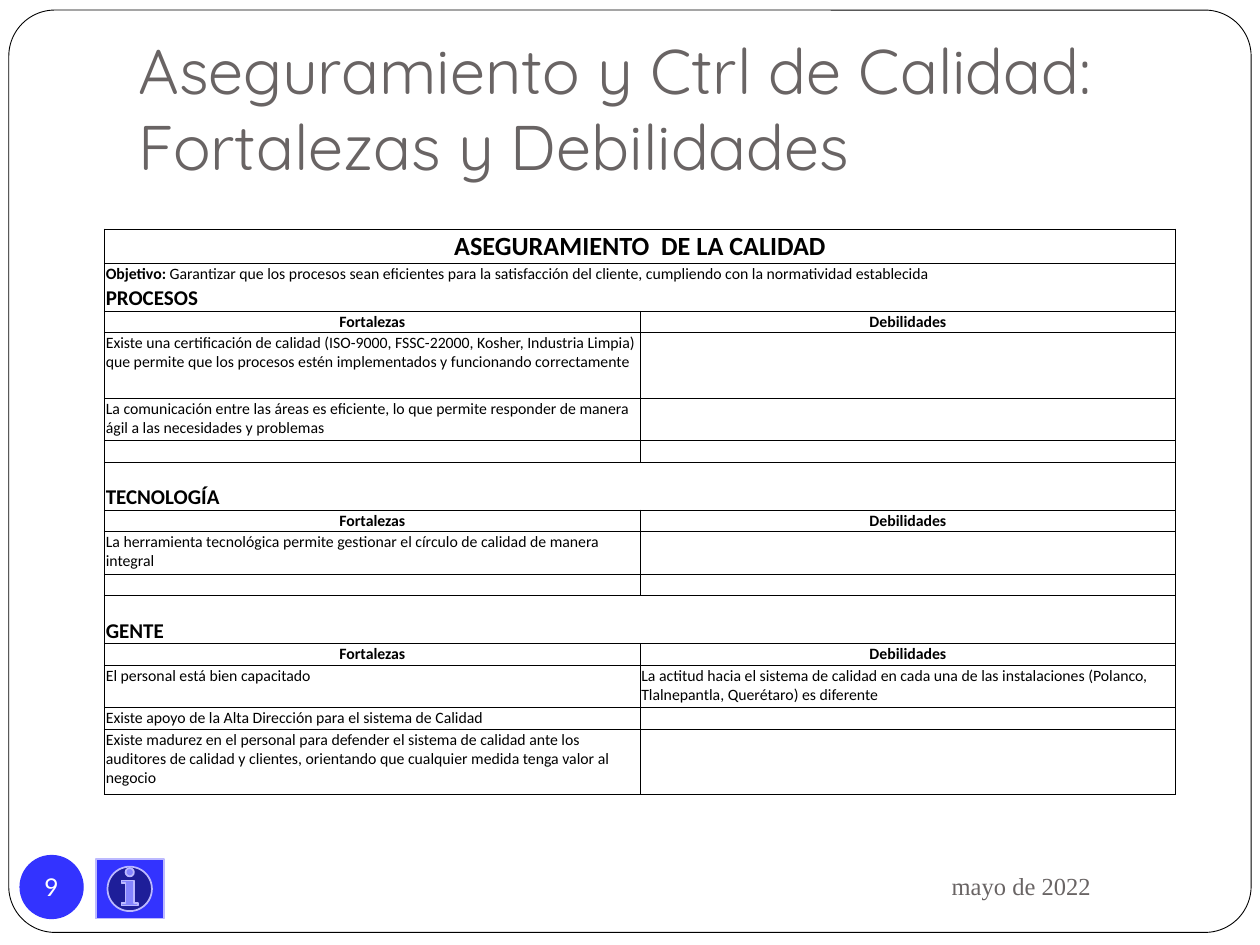
import pptx
import pptx.util
import pptx.dml.color
import pptx.enum.shapes
import pptx.enum.text
import pptx.oxml.ns
import lxml.etree

Inches, Pt = pptx.util.Inches, pptx.util.Pt
SHAPE = pptx.enum.shapes.MSO_SHAPE
ALIGN = pptx.enum.text.PP_ALIGN
ANCHOR = pptx.enum.text.MSO_ANCHOR
qn = pptx.oxml.ns.qn

WIDTH, HEIGHT = 10, 7.5
COLORS = {"ink": "000000", "paper": "FFFFFF", "heading": "696464",
          "accent": "3333FF", "accent_edge": "BCB9FF"}
OUTER, INNER = 1, 0.5  # border widths in points
ROW, HEADING_ROW, TITLE_ROW = 0.17, 0.21, 0.27

OBJECTIVE = [("Objetivo:", True),
             (" Garantizar que los procesos sean eficientes para la satisfacción del cliente, "
              "cumpliendo con la normatividad establecida", False)]

# Section -> (strength, weakness, row height in text lines)
SECTIONS = {
    "PROCESOS": [
        ("Existe una certificación de calidad (ISO-9000, FSSC-22000, Kosher, Industria Limpia) "
         "que permite que los procesos estén implementados y funcionando correctamente", "", 3),
        ("La comunicación entre las áreas es eficiente, lo que permite responder de manera "
         "ágil a las necesidades y problemas", "", 2),
        ("", "", 1)],
    "TECNOLOGÍA": [
        ("La herramienta tecnológica permite gestionar el círculo de calidad de manera integral",
         "", 2),
        ("", "", 1)],
    "GENTE": [
        ("El personal está bien capacitado",
         "La actitud hacia el sistema de calidad en cada una de las instalaciones "
         "(Polanco, Tlalnepantla, Querétaro) es diferente", 2),
        ("Existe apoyo de la Alta Dirección para el sistema de Calidad", "", 1),
        ("Existe madurez en el personal para defender el sistema de calidad ante los auditores "
         "de calidad y clientes, orientando que cualquier medida tenga valor al negocio", "", 3)],
}


def rgb(name):
    return pptx.dml.color.RGBColor.from_string(COLORS[name])


def write(frame, text, font="Calibri", size=9, color="ink", bold=False,
          align=ALIGN.LEFT, anchor=ANCHOR.TOP, wrap=True, insets=None):
    """Fill a frame with a string or with (string, bold) runs."""
    frame.word_wrap = wrap
    frame.vertical_anchor = anchor
    if insets:
        (frame.margin_left, frame.margin_top,
         frame.margin_right, frame.margin_bottom) = map(Inches, insets)
    paragraph = frame.paragraphs[0]
    paragraph.alignment = align
    for words, strong in ([(text, bold)] if isinstance(text, str) else text):
        for number, line in enumerate(words.split("\n")):
            if number:
                paragraph.add_line_break()
            run = paragraph.add_run()
            run.text = line
            run.font.name, run.font.size, run.font.bold = font, Pt(size), strong
            run.font.color.rgb = rgb(color)


def add_preset(slide, kind, left, top, width, height, fill, edge, edge_width):
    shape = slide.shapes.add_shape(kind, *map(Inches, (left, top, width, height)))
    shape.shadow.inherit = False
    shape.fill.solid()
    shape.fill.fore_color.rgb = rgb(fill)
    shape.line.color.rgb = rgb(edge)
    shape.line.width = Pt(edge_width)
    return shape


def set_borders(cell, left, right, top, bottom):
    """Widths in points; 0 hides a side."""
    properties = cell._tc.get_or_add_tcPr()
    for side, width in zip("LRTB", (left, right, top, bottom)):
        line = lxml.etree.SubElement(properties, qn("a:ln" + side), w=str(Pt(width)))
        if width:
            fill = lxml.etree.SubElement(line, qn("a:solidFill"))
            lxml.etree.SubElement(fill, qn("a:srgbClr"), val=COLORS["ink"])
        else:
            lxml.etree.SubElement(line, qn("a:noFill"))
    cell.fill.background()


def fill_cell(cell, text, **style):
    cell.margin_left = cell.margin_top = cell.margin_right = Inches(0.01)
    cell.margin_bottom = 0
    if text:
        write(cell.text_frame, text, **style)
    else:  # keeps an empty row as low as a line of text
        lxml.etree.SubElement(cell.text_frame.paragraphs[0]._p, qn("a:endParaRPr"), sz="900")


def plan_rows():
    """Rows as (left text, right text, height, style, top, bottom, divider, merged)."""
    centred = {"bold": True, "align": ALIGN.CENTER}
    rows = [("ASEGURAMIENTO  DE LA CALIDAD", "", TITLE_ROW, {"size": 15, **centred},
             OUTER, INNER, 0, True),
            (OBJECTIVE, "", ROW, {}, INNER, 0, 0, True)]
    for number, (section, items) in enumerate(SECTIONS.items()):
        if number:
            rows.append(("", "", ROW, {}, INNER, 0, 0, False))
        rows.append((section, "", HEADING_ROW, {"size": 12, "bold": True}, 0, INNER, 0, False))
        rows.append(("Fortalezas", "Debilidades", ROW, centred, INNER, INNER, INNER, False))
        rows += [(strength, weakness, round(ROW * lines + 0.01 * (lines == 3), 2), {},
                  INNER, INNER, INNER, False)
                 for strength, weakness, lines in items]
    return rows


def add_quality_table(slide):
    rows = plan_rows()
    total = sum(row[2] for row in rows)
    table = slide.shapes.add_table(len(rows), 2, Inches(0.83), Inches(1.82),
                                   Inches(0.85 * WIDTH), Inches(total)).table
    table.first_row = table.horz_banding = False
    for index, (strength, weakness, height, style, top, bottom, divider, merged) in enumerate(rows):
        table.rows[index].height = Inches(height)
        left, right = table.cell(index, 0), table.cell(index, 1)
        fill_cell(left, strength, **style)
        fill_cell(right, weakness, **style)
        set_borders(left, OUTER, OUTER if merged else divider, top, bottom)
        set_borders(right, divider, OUTER, top, bottom)
        if merged:
            left.merge(right)


def main():
    deck = pptx.Presentation()
    deck.slide_width, deck.slide_height = Inches(WIDTH), Inches(HEIGHT)
    slide = deck.slides.add_slide(deck.slide_layouts[5])
    heading = slide.shapes.title

    # Rounded page frame, behind the title
    frame = add_preset(slide, SHAPE.ROUNDED_RECTANGLE, 0.07, 0.08, 9.86, 7.32,
                       "paper", "ink", 0.5)
    frame.adjustments[0] = 0.05
    heading._element.addprevious(frame._element)

    # Title
    heading.left, heading.top = Inches(0.1 * WIDTH), Inches(0.04 * HEIGHT)
    heading.width, heading.height = Inches(0.85 * WIDTH), Inches(1.25)
    heading.text_frame.auto_size = pptx.enum.text.MSO_AUTO_SIZE.NONE
    write(heading.text_frame, "Aseguramiento y Ctrl de Calidad: \nFortalezas y Debilidades",
          font="Quicksand", size=36, color="heading", anchor=ANCHOR.BOTTOM,
          insets=(0.1, 0.05, 0.1, 0.1))

    # Footer: date and page number
    date = slide.shapes.add_textbox(*map(Inches, (6.75, 6.77, 2.71, 0.52)))
    write(date.text_frame, "mayo de 2022", font="Times New Roman", size=14,
          color="heading", align=ALIGN.CENTER, anchor=ANCHOR.MIDDLE)
    page = add_preset(slide, SHAPE.OVAL, 0.16, 6.79, 0.5, 0.5, "accent", "accent", 0.75)
    write(page.text_frame, "9", font="Lato", size=14, color="paper", align=ALIGN.CENTER,
          anchor=ANCHOR.MIDDLE, wrap=False, insets=(0, 0, 0, 0))

    add_quality_table(slide)

    # Information button
    add_preset(slide, SHAPE.ACTION_BUTTON_INFORMATION, 0.76, 6.82, 0.54, 0.47,
               "accent", "accent_edge", 1)

    deck.save("out.pptx")


if __name__ == "__main__":
    main()
